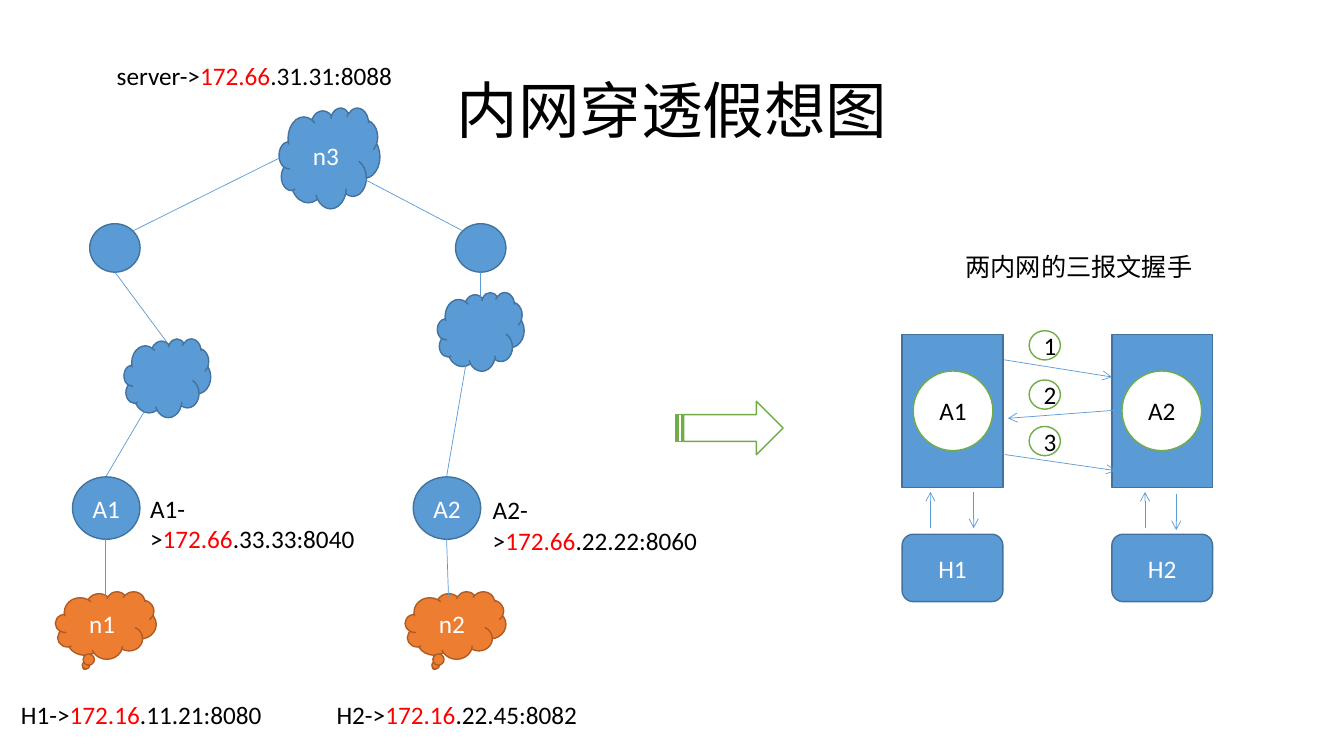
import pptx
import pptx.util
import pptx.dml.color
import pptx.enum.shapes
import pptx.enum.text
import pptx.oxml.ns
import lxml.etree

Pt = pptx.util.Pt
KIND = pptx.enum.shapes.MSO_SHAPE
ALIGN = pptx.enum.text.PP_ALIGN
HUES = {
    "blue": "5B9BD5", "navy": "43729D", "orange": "ED7D31", "rust": "AF5C24",
    "green": "70AD47", "white": "FFFFFF", "black": "000000", "red": "FF0000",
}
BLUE = ("blue", "navy", "white")
RUST = ("orange", "rust", "white")
PALE = ("white", "green", "black")


def paint(name):
    """Return the named colour."""
    return pptx.dml.color.RGBColor.from_string(HUES[name])


def write(frame, text, mark="", hue="black", size=18, font="Calibri",
          align=ALIGN.LEFT, space=None):
    """Fill a text frame, with the marked part of the text in red."""
    para = frame.paragraphs[0]
    para.alignment = align
    para.line_spacing = space
    head, mid, tail = text.partition(mark) if mark else (text, "", "")
    for part, tint in ((head, hue), (mid, "red"), (tail, hue)):
        if part:
            run = para.add_run()
            run.text = part
            run.font.name = font
            run.font.size = Pt(size)
            run.font.color.rgb = paint(tint)


class Board:
    """Hold the current slide and the style of its parts."""

    def __init__(self, slide):
        """Keep the slide and the line widths."""
        self.slide = slide
        self.edge = 1
        self.thin = 0.5

    def node(self, kind, left, top, width, height, style=BLUE, text="", bends=()):
        """Draw a preset shape with centred text."""
        fill, line, hue = style
        shape = self.slide.shapes.add_shape(kind, Pt(left), Pt(top), Pt(width), Pt(height))
        shape.shadow.inherit = False
        shape.fill.solid()
        shape.fill.fore_color.rgb = paint(fill)
        shape.line.color.rgb = paint(line)
        shape.line.width = Pt(self.edge)
        for spot, bend in enumerate(bends):
            shape.adjustments[spot] = bend
        if text:
            shape.text_frame.word_wrap = True
            shape.text_frame.vertical_anchor = pptx.enum.text.MSO_ANCHOR.MIDDLE
            write(shape.text_frame, text, hue=hue, align=ALIGN.CENTER)

    def link(self, x1, y1, x2, y2, arrow=False):
        """Draw a thin line, with an arrowhead at its end if asked."""
        line = self.slide.shapes.add_connector(
            pptx.enum.shapes.MSO_CONNECTOR.STRAIGHT, Pt(x1), Pt(y1), Pt(x2), Pt(y2))
        line.line.color.rgb = paint("blue")
        line.line.width = Pt(self.thin)
        qn = pptx.oxml.ns.qn
        if arrow:
            lxml.etree.SubElement(line.line._get_or_add_ln(), qn("a:tailEnd"), type="arrow")
        lxml.etree.SubElement(line._element.spPr, qn("a:effectLst"))

    def label(self, left, top, width, text, mark=""):
        """Place one line of text."""
        box = self.slide.shapes.add_textbox(Pt(left), Pt(top), Pt(width), Pt(28.8))
        box.text_frame.word_wrap = False
        write(box.text_frame, text, mark=mark)

    def title(self, text):
        """Place the slide title."""
        box = self.slide.shapes.add_textbox(Pt(66.2), Pt(28.8), Pt(828), Pt(104.4))
        box.text_frame.word_wrap = True
        box.text_frame.vertical_anchor = pptx.enum.text.MSO_ANCHOR.MIDDLE
        write(box.text_frame, text, size=44, align=ALIGN.CENTER, space=0.9)


def draw_tree(board):
    """Draw the network tree on the left."""
    sides = (
        ("1", 39.6, 51.8, 88.6, 241.9, 64.1),
        ("2", 289.4, 295.2, 312.5, 208.8, 325.4),
    )
    for num, net, host, cloud, high, hub in sides:
        board.node(KIND.CLOUD_CALLOUT, net, 422.6, 72, 48.2, RUST, "n" + num,
                   (-0.208, 0.625))
        board.node(KIND.OVAL, host, 340.6, 48.2, 44.6, BLUE, "A" + num)
        board.node(KIND.CLOUD, cloud, high, 61.9, 56.2)
        board.node(KIND.OVAL, hub, 159.8, 36, 34.6)
    board.node(KIND.CLOUD, 199.4, 77, 72, 72, BLUE, "n3")
    for ends in (
        (75.6, 385.2, 75.6, 425.5), (75.6, 340.6, 104.4, 291.6),
        (95, 164.9, 199.4, 113), (343.4, 212.4, 343.4, 194.4),
        (330.5, 164.9, 260.6, 128.2), (320.4, 426.2, 319, 385.2),
        (319, 340.6, 334.1, 252.7), (119.5, 244.8, 82.1, 194.4),
    ):
        board.link(*ends)
    for left, top, width, text, mark in (
        (7.9, 496.1, 186.5, "H1->172.16.11.21:8080", "172.16"),
        (233.3, 496.1, 186.5, "H2->172.16.22.45:8082", "172.16"),
        (100.1, 348.5, 185, "A1->172.66.33.33:8040", "172.66"),
        (344.9, 349.9, 185, "A2->172.66.22.22:8060", "172.66"),
        (76.3, 39.6, 211, "server->172.66.31.31:8088", "172.66"),
    ):
        board.label(left, top, width, text, mark)


def draw_shake(board):
    """Draw the handshake on the right."""
    for num, left, ring in (("1", 644.4, 652.3), ("2", 794.2, 801.4)):
        board.node(KIND.FLOWCHART_ALTERNATE_PROCESS, left, 381.6, 72, 48.2, BLUE, "H" + num)
        board.node(KIND.RECTANGLE, left, 239, 72, 109.4)
        board.node(KIND.OVAL, ring, 265, 56.9, 56.9, PALE, "A" + num)
    for ends in (
        (664.6, 377.3, 664.6, 351.4), (695.5, 351.4, 695.5, 377.3),
        (840.2, 352.8, 840.2, 378.7), (817.9, 377.3, 817.9, 351.4),
        (717.1, 257, 794.2, 269.3), (797, 293, 720, 298.8),
        (717.8, 324.7, 797, 336.2),
    ):
        board.link(*ends, arrow=True)
    for num, top in (("1", 236.2), ("2", 271.4), ("3", 304.6)):
        board.node(KIND.OVAL, 735.1, top, 22.3, 20.9, PALE, num)
    board.label(682.6, 175.7, 176.4, "两内网的三报文握手")


def main():
    """Build and save the slide."""
    deck = pptx.Presentation()
    deck.slide_width = Pt(960)
    deck.slide_height = Pt(540)
    board = Board(deck.slides.add_slide(deck.slide_layouts[6]))
    board.title("内网穿透假想图")
    draw_tree(board)
    draw_shake(board)
    board.node(KIND.STRIPED_RIGHT_ARROW, 482.4, 286.6, 77, 38.2, PALE)
    deck.save("out.pptx")


if __name__ == "__main__":
    main()
